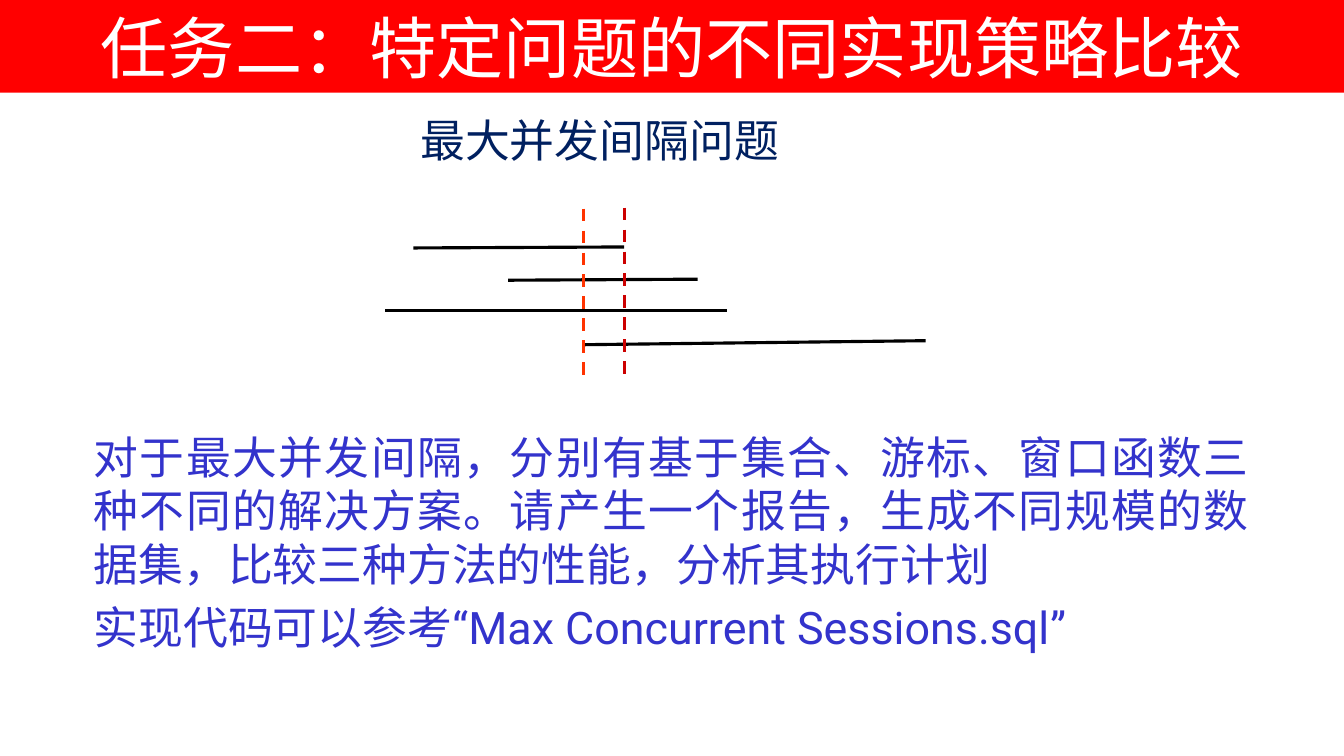
from dataclasses import dataclass

from lxml import etree
from pptx import Presentation
from pptx.dml.color import RGBColor
from pptx.enum.dml import MSO_LINE
from pptx.enum.shapes import MSO_CONNECTOR
from pptx.enum.text import MSO_ANCHOR, MSO_AUTO_SIZE, PP_ALIGN
from pptx.oxml.ns import qn
from pptx.util import Inches, Pt

STRAIGHT = MSO_CONNECTOR.STRAIGHT
DASH = MSO_LINE.DASH
MIDDLE, TOP = MSO_ANCHOR.MIDDLE, MSO_ANCHOR.TOP
NO_FIT = MSO_AUTO_SIZE.NONE
CENTER, JUSTIFY = PP_ALIGN.CENTER, PP_ALIGN.JUSTIFY
TITLE_ONLY = 5


@dataclass(frozen=True)
class Theme:
    """Colours, font and sizes of the slide."""
    font: str = "Roboto"
    banner: str = "FF0000"
    title: str = "FFFFFF"
    heading: str = "002060"
    body: str = "3333CC"
    session: str = "000000"
    overlap_start: str = "FF3300"
    overlap_end: str = "CC0000"
    title_size: int = 48
    text_size: int = 32
    paragraph_gap: float = 6.4
    line_width: float = 2.25


THEME = Theme()

TITLE = "任务二：特定问题的不同实现策略比较"
HEADING = "最大并发间隔问题"
BODY = [
    "对于最大并发间隔，分别有基于集合、游标、窗口函数三种不同的解决方案。"
    "请产生一个报告，生成不同规模的数据集，比较三种方法的性能，分析其执行计划",
    "实现代码可以参考“Max Concurrent Sessions.sql”",
]
SESSIONS = [
    (4.1, 2.46, 6.19, 2.45),
    (5.04, 2.78, 6.92, 2.77),
    (3.82, 3.08, 7.21, 3.08),
    (5.79, 3.42, 9.18, 3.38),
]
OVERLAP_BOUNDS = [
    ((5.79, 2.07, 5.79, 3.79), THEME.overlap_start),
    ((6.19, 2.06, 6.19, 3.78), THEME.overlap_end),
]


def style_paragraph(paragraph, size, color, alignment, gap=0):
    """Give a paragraph its font for all scripts, alignment and spacing."""
    paragraph.alignment = alignment
    paragraph.space_before = Pt(gap)
    paragraph.line_spacing = 1.0
    font = paragraph.font
    font.name = THEME.font
    font.size = Pt(size)
    font.color.rgb = RGBColor.from_string(color)
    properties = paragraph._p.pPr.find(qn("a:defRPr"))
    etree.SubElement(properties, qn("a:ea")).set("typeface", THEME.font)


def add_title(slide, text):
    """Turn the title placeholder into the full-width banner."""
    title = slide.shapes.title
    title.left, title.top = Inches(0), Inches(0)
    title.width, title.height = Inches(13.33), Inches(0.92)
    title.fill.solid()
    title.fill.fore_color.rgb = RGBColor.from_string(THEME.banner)
    frame = title.text_frame
    frame.text = text
    frame.vertical_anchor = MIDDLE
    frame.auto_size = NO_FIT
    style_paragraph(frame.paragraphs[0], THEME.title_size, THEME.title, CENTER)


def add_text(slide, box, texts, color, wrap):
    """Add a text box with one justified paragraph per text."""
    shape = slide.shapes.add_textbox(*map(Inches, box))
    frame = shape.text_frame
    frame.word_wrap = wrap
    frame.auto_size = NO_FIT
    frame.vertical_anchor = TOP
    frame.text = "\n".join(texts)
    for paragraph in frame.paragraphs:
        style_paragraph(paragraph, THEME.text_size, color, JUSTIFY, THEME.paragraph_gap)


def add_line(slide, ends, color, dash=None):
    """Add a straight line without shadow and return it."""
    connector = slide.shapes.add_connector(STRAIGHT, *map(Inches, ends))
    connector.line.color.rgb = RGBColor.from_string(color)
    connector.line.width = Pt(THEME.line_width)
    if dash is not None:
        connector.line.dash_style = dash
    etree.SubElement(connector._element.spPr, qn("a:effectLst"))
    return connector


def add_session_diagram(slide):
    """Draw the sessions and the bounds of their overlap as one group."""
    lines = [add_line(slide, ends, THEME.session) for ends in SESSIONS]
    lines += [add_line(slide, ends, color, DASH) for ends, color in OVERLAP_BOUNDS]
    slide.shapes.add_group_shape(lines)


def main():
    """Build and save the slide."""
    presentation = Presentation()
    presentation.slide_width = Inches(13.33)
    presentation.slide_height = Inches(7.5)
    slide = presentation.slides.add_slide(presentation.slide_layouts[TITLE_ONLY])
    add_title(slide, TITLE)
    add_text(slide, (0.83, 4.21, 11.66, 2.56), BODY, THEME.body, True)
    add_session_diagram(slide)
    add_text(slide, (4.07, 1.07, 3.79, 0.64), [HEADING], THEME.heading, False)
    presentation.save("out.pptx")


main()
